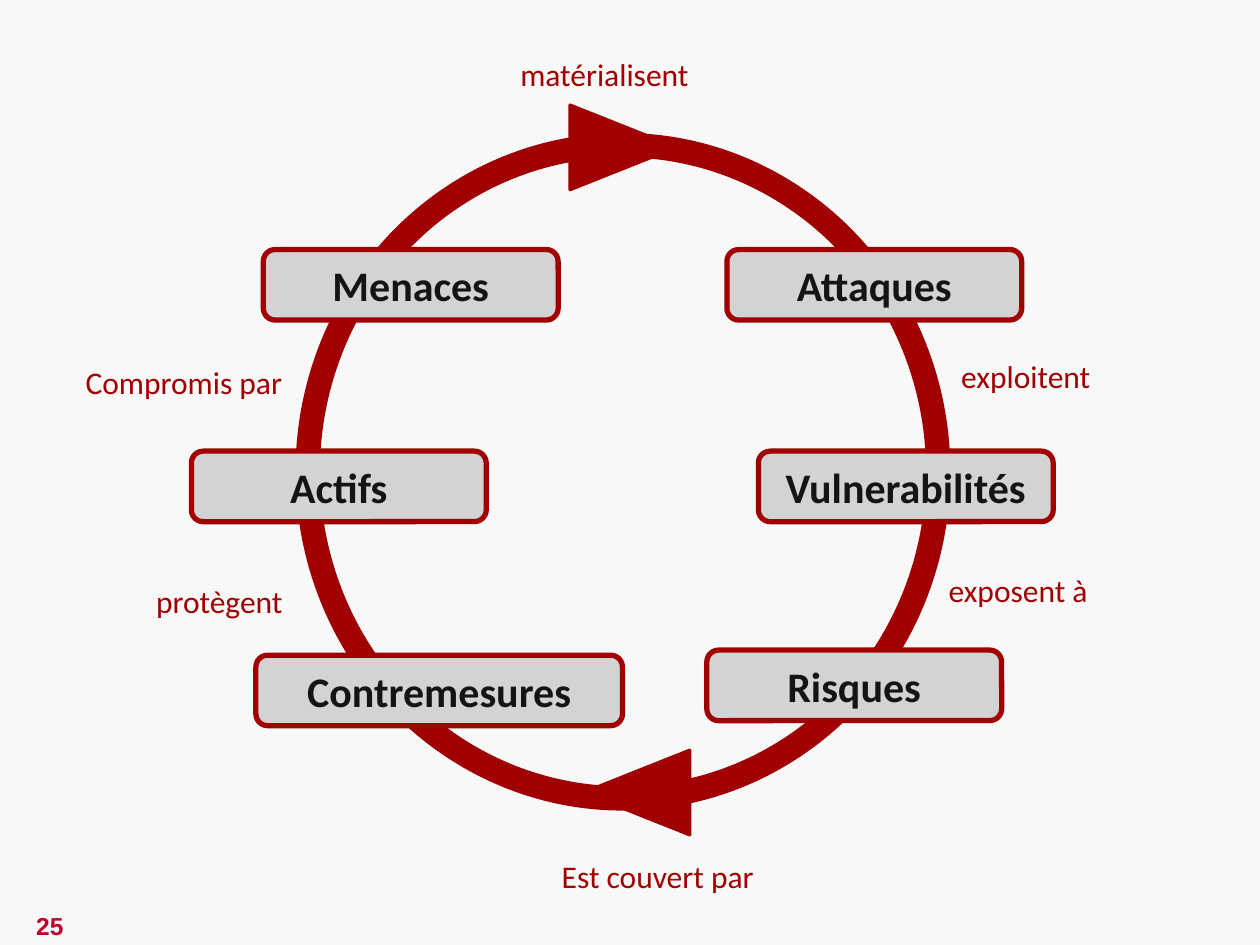
from pptx import Presentation
from pptx.dml.color import RGBColor
from pptx.enum.shapes import MSO_SHAPE
from pptx.enum.text import MSO_ANCHOR, MSO_AUTO_SIZE, PP_ALIGN
from pptx.util import Pt

RED, GREY, INK, PAPER, CRIMSON = "A00000", "D3D3D3", "141414", "F8F8F8", "BC002B"

# Content: concepts (text, left, top, width), relations (text, left, top, width)
CONCEPTS = [
    ("Menaces", 150.5, 142.6, 168.5),
    ("Attaques", 415.4, 142.6, 168.5),
    ("Actifs", 109.4, 257.8, 168.5),
    ("Vulnerabilités", 433.4, 257.8, 168.5),
    ("Contremesures", 146.2, 374.4, 209.5),
    ("Risques", 403.9, 371.5, 168.5),
]
RELATIONS = [
    ("matérialisent", 290.2, 28.1, 111.6),
    ("Compromis par", 41.8, 203.8, 128.2),
    ("protègent", 82.1, 329, 87.8),
    ("Est couvert par", 313.9, 486, 125.3),
    ("exposent à", 535, 322.6, 95),
    ("exploitent", 542.2, 200.2, 89.3),
]
ARROWHEADS = [(331.9, 54, 90), (339.8, 422.6, 270)]  # left, top, rotation
RING = (169.9, 77, 372.2, 385.2)
PAGE_NUMBER = "25"
CONCEPT_HEIGHT, RELATION_HEIGHT = 40.3, 29.1


def color(value):
    return RGBColor.from_string(value)


def add_figure(kind, box, fill=RED, line_width=2):
    figure = slide.shapes.add_shape(kind, *map(Pt, box))
    figure.shadow.inherit = False
    figure.fill.solid()
    figure.fill.fore_color.rgb = color(fill)
    figure.line.color.rgb = color(RED)
    figure.line.width = Pt(line_width)
    return figure


def write(holder, text, size, ink, font="Calibri", bold=False, align=PP_ALIGN.CENTER):
    paragraph = holder.text_frame.paragraphs[0]
    paragraph.text = text
    paragraph.alignment = align
    paragraph.font.name = font
    paragraph.font.size = Pt(size)
    paragraph.font.bold = bold
    paragraph.font.color.rgb = color(ink)


deck = Presentation()
deck.slide_width, deck.slide_height = Pt(720), Pt(540)
slide = deck.slides.add_slide(deck.slide_layouts[6])
slide.background.fill.solid()
slide.background.fill.fore_color.rgb = color(PAPER)

# Page number
number = slide.shapes.add_textbox(Pt(-1.4), Pt(517), Pt(59.8), Pt(24.5))
number.text_frame.word_wrap = True
number.text_frame.vertical_anchor = MSO_ANCHOR.MIDDLE
write(number, PAGE_NUMBER, 14, CRIMSON, font="Arial", bold=True)

# Cycle ring and its arrowheads
ring = add_figure(MSO_SHAPE.DONUT, RING)
ring.adjustments[0] = 0.032
for left, top, rotation in ARROWHEADS:
    arrowhead = add_figure(MSO_SHAPE.ISOSCELES_TRIANGLE, (left, top, 48.2, 60.5))
    arrowhead.rotation = rotation

# Concepts on the ring
for text, left, top, width in CONCEPTS:
    concept = add_figure(MSO_SHAPE.ROUNDED_RECTANGLE,
                         (left, top, width, CONCEPT_HEIGHT), GREY, 3)
    concept.text_frame.vertical_anchor = MSO_ANCHOR.MIDDLE
    concept.text_frame.word_wrap = True
    write(concept, text, 24, INK, bold=True)

# Relations between concepts
for text, left, top, width in RELATIONS:
    relation = slide.shapes.add_textbox(Pt(left), Pt(top), Pt(width), Pt(RELATION_HEIGHT))
    relation.text_frame.word_wrap = False
    relation.text_frame.auto_size = MSO_AUTO_SIZE.SHAPE_TO_FIT_TEXT
    write(relation, text, 18, RED, align=PP_ALIGN.LEFT)

deck.save("out.pptx")
